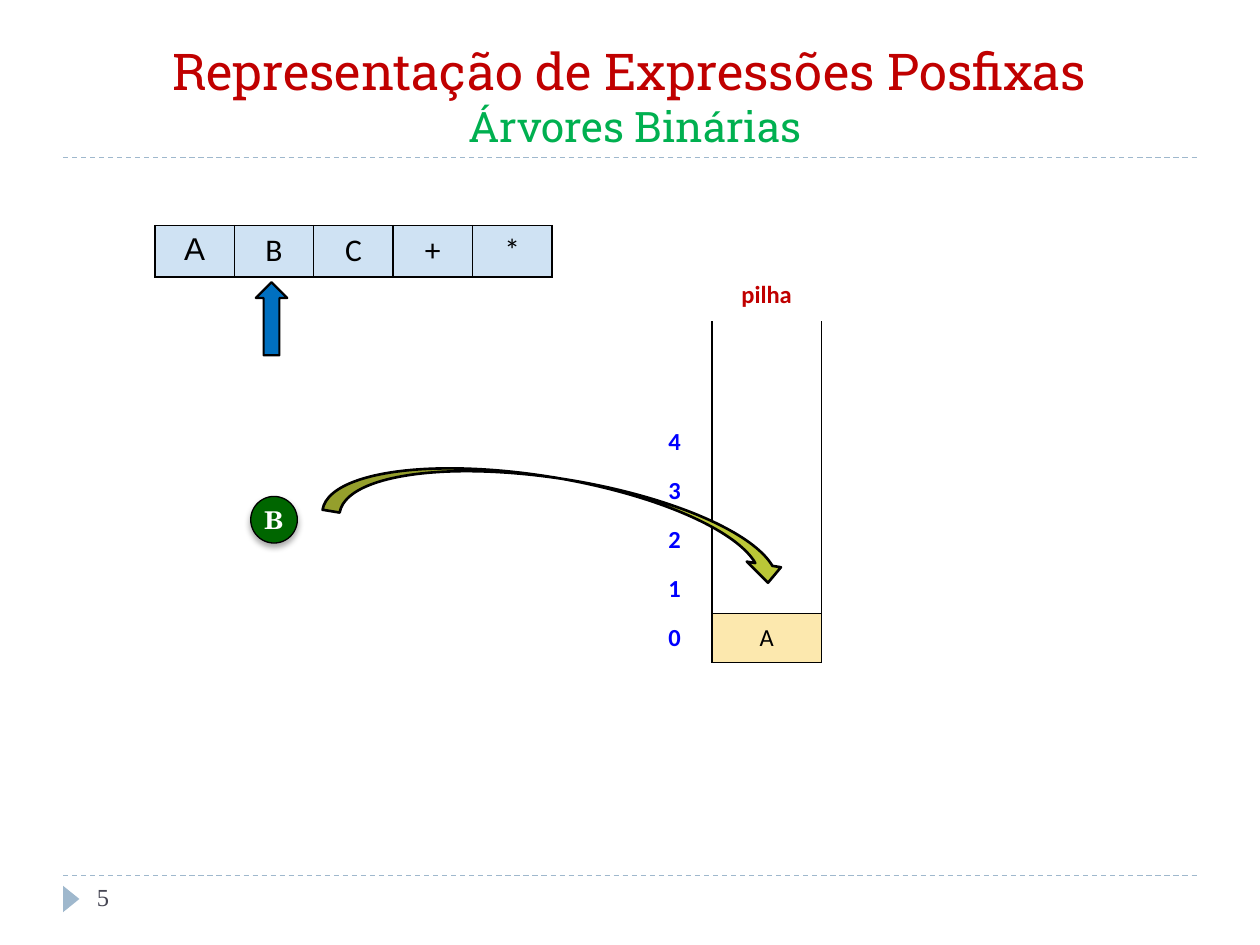
from dataclasses import dataclass

from lxml import etree
from pptx import Presentation
from pptx.dml.color import RGBColor
from pptx.enum.dml import MSO_LINE
from pptx.enum.shapes import MSO_CONNECTOR, MSO_SHAPE
from pptx.enum.text import MSO_ANCHOR, MSO_AUTO_SIZE, PP_ALIGN
from pptx.oxml.ns import qn
from pptx.util import Pt

EMU_PER_PX = 9144  # 100 px to the inch
CENTER = PP_ALIGN.CENTER
TOP, MIDDLE, BOTTOM = MSO_ANCHOR.TOP, MSO_ANCHOR.MIDDLE, MSO_ANCHOR.BOTTOM
ALL_SIDES = "LRTB"


@dataclass(frozen=True)
class Theme:
    title_font: str = "Roboto Slab"
    body_font: str = "Calibri"
    symbol_font: str = "Arial"
    number_font: str = "Times New Roman"
    token_font: str = "TeX Gyre Schola"
    title_size: int = 29
    subtitle_size: int = 24
    symbol_size: int = 18
    label_size: int = 14
    red: str = "C00000"
    green: str = "00B050"
    rule: str = "9FB8CD"
    page_number: str = "464653"
    black: str = "000000"
    white: str = "FFFFFF"
    index: str = "0000FF"
    symbol_fill: str = "CFE2F3"
    stack_fill: str = "FCE8AE"
    pointer: str = "0070C0"
    token: str = "006600"
    push: str = "BBC737"


THEME = Theme()


def px(value):
    return int(value * EMU_PER_PX)


def px_box(box):
    return [px(value) for value in box]


def color(value):
    return RGBColor.from_string(value)


def style_run(run, font, size, fill, bold=False):
    run.font.name = font
    run.font.size = Pt(size)
    run.font.bold = bold
    run.font.color.rgb = color(fill)


def add_effects(shape_properties):
    return etree.SubElement(shape_properties, qn("a:effectLst"))


def add_rule(slide, left, top, width):
    rule = slide.shapes.add_connector(
        MSO_CONNECTOR.STRAIGHT, px(left), px(top), px(left + width), px(top))
    rule.line.color.rgb = color(THEME.rule)
    rule.line.width = Pt(0.75)
    rule.line.dash_style = MSO_LINE.DASH
    add_effects(rule._element.spPr)


def add_figure(slide, kind, box, fill, line_width=0, rotation=0):
    figure = slide.shapes.add_shape(kind, *px_box(box))
    figure.shadow.inherit = False
    figure.rotation = rotation
    figure.fill.solid()
    figure.fill.fore_color.rgb = color(fill)
    if line_width:
        figure.line.color.rgb = color(THEME.black)
        figure.line.width = Pt(line_width)
    else:
        figure.line.fill.background()
    return figure


def add_heading(slide, box):
    title = slide.shapes.title
    title.left, title.top, title.width, title.height = px_box(box)
    frame = title.text_frame
    frame.text = "Representação de Expressões Posfixas\v Árvores Binárias"
    frame.auto_size = MSO_AUTO_SIZE.NONE
    frame.vertical_anchor = BOTTOM
    paragraph = frame.paragraphs[0]
    paragraph.alignment = CENTER
    heading, subtitle = paragraph.runs
    style_run(heading, THEME.title_font, THEME.title_size, THEME.red)
    style_run(subtitle, THEME.title_font, THEME.subtitle_size, THEME.green)
    line_break = paragraph._p.find(qn("a:br"))
    etree.SubElement(line_break, qn("a:rPr"), sz=str(THEME.title_size * 100))
    left, top, width, height = box
    add_rule(slide, left, top + height, width)


def add_footer(slide, box):
    left, top, width, height = box
    add_rule(slide, left, top, width)
    add_figure(slide, MSO_SHAPE.ISOSCELES_TRIANGLE, (left - 4, top + 12, 21, 13),
               THEME.rule, rotation=90)
    frame = slide.shapes.add_textbox(*px_box((left + 17, top, 217, height))).text_frame
    frame.word_wrap = True
    frame.text = "5"
    style_run(frame.paragraphs[0].runs[0], THEME.number_font, THEME.label_size,
              THEME.page_number)


def add_grid(slide, left, top, columns, rows):
    box = (left, top, sum(columns), sum(rows))
    table = slide.shapes.add_table(len(rows), len(columns), *px_box(box)).table
    table.first_row = table.horz_banding = False
    for column, width in zip(table.columns, columns):
        column.width = px(width)
    for row, height in zip(table.rows, rows):
        row.height = px(height)
    return table


def style_cell(cell, fill, sides=""):
    """Fill a cell and draw black borders on the named sides only."""
    properties = cell._tc.get_or_add_tcPr()
    for side in ALL_SIDES:
        border = etree.SubElement(properties, qn(f"a:ln{side}"), w=str(Pt(1)))
        if side in sides:
            solid = etree.SubElement(border, qn("a:solidFill"))
            etree.SubElement(solid, qn("a:srgbClr"), val=THEME.black)
        else:
            etree.SubElement(border, qn("a:noFill"))
    cell.fill.solid()
    cell.fill.fore_color.rgb = color(fill)
    cell.margin_top = cell.margin_bottom = 0


def write_cell(cell, text, font, size, fill, bold=False, anchor=MIDDLE):
    cell.text = text
    cell.vertical_anchor = anchor
    cell.margin_top = cell.margin_bottom = px(5)
    paragraph = cell.text_frame.paragraphs[0]
    paragraph.alignment = CENTER
    style_run(paragraph.runs[0], font, size, fill, bold)


def add_stack(slide, left, top):
    label_row, wall_row, first_slot, slots = 1, 2, 4, 5
    last_row = first_slot + slots - 1
    table = add_grid(slide, left, top, [59, 87], [38] * first_slot + [39] * slots)
    for row in range(last_row + 1):
        index_cell, slot_cell = table.cell(row, 0), table.cell(row, 1)
        walls = "LR" if row >= wall_row else ""
        floor = {last_row - 1: "B", last_row: "TB"}.get(row, "")
        style_cell(index_cell, THEME.white, "R" if walls else "")
        style_cell(slot_cell, THEME.stack_fill if row == last_row else THEME.white,
                   walls + floor)
        if row >= first_slot:
            write_cell(index_cell, str(last_row - row), THEME.body_font,
                       THEME.label_size, THEME.index, bold=True)
    label = table.cell(label_row, 1)
    write_cell(label, "pilha", THEME.body_font, THEME.label_size, THEME.red,
               bold=True, anchor=TOP)
    label.margin_left = label.margin_right = 0
    write_cell(table.cell(last_row, 1), "A", THEME.body_font, THEME.label_size,
               THEME.black)


def add_expression(slide, left, top):
    symbols = "ABC+*"
    table = add_grid(slide, left, top, [63] * len(symbols), [41])
    for column, symbol in enumerate(symbols):
        cell = table.cell(0, column)
        style_cell(cell, THEME.symbol_fill, ALL_SIDES)
        font = THEME.body_font if column else THEME.symbol_font
        write_cell(cell, symbol, font, THEME.symbol_size, THEME.black, anchor=TOP)
    add_figure(slide, MSO_SHAPE.UP_ARROW, (left + 80, top + 45, 25, 58),
               THEME.pointer, 1.25)


def add_token(slide, box):
    token = add_figure(slide, MSO_SHAPE.OVAL, box, THEME.token, 0.75)
    effects = token._element.spPr.find(qn("a:effectLst"))
    shadow = etree.SubElement(effects, qn("a:outerShdw"), blurRad=str(Pt(3.5)),
                              dist=str(Pt(2.2)), dir="5400000", rotWithShape="0")
    shade = etree.SubElement(shadow, qn("a:srgbClr"), val=THEME.black)
    etree.SubElement(shade, qn("a:alpha"), val="32000")
    frame = token.text_frame
    frame.margin_left = frame.margin_right = frame.margin_top = frame.margin_bottom = 0
    frame.vertical_anchor = MIDDLE
    frame.text = "B"
    frame.paragraphs[0].alignment = CENTER
    style_run(frame.paragraphs[0].runs[0], THEME.token_font, THEME.label_size,
              THEME.white, bold=True)


def main():
    presentation = Presentation()
    presentation.slide_width, presentation.slide_height = px(1000), px(750)
    slide = presentation.slides.add_slide(presentation.slide_layouts.get_by_name("Title Only"))
    add_heading(slide, (50, 25, 900, 100))
    add_footer(slide, (50, 695, 900, 40))
    add_stack(slide, 506, 179)
    add_expression(slide, 123, 179)
    add_token(slide, (199, 394, 37, 37))
    add_figure(slide, MSO_SHAPE.CURVED_DOWN_ARROW, (258, 380, 372, 55),
               THEME.push, 1.5, rotation=9.3)
    presentation.save("out.pptx")


if __name__ == "__main__":
    main()
